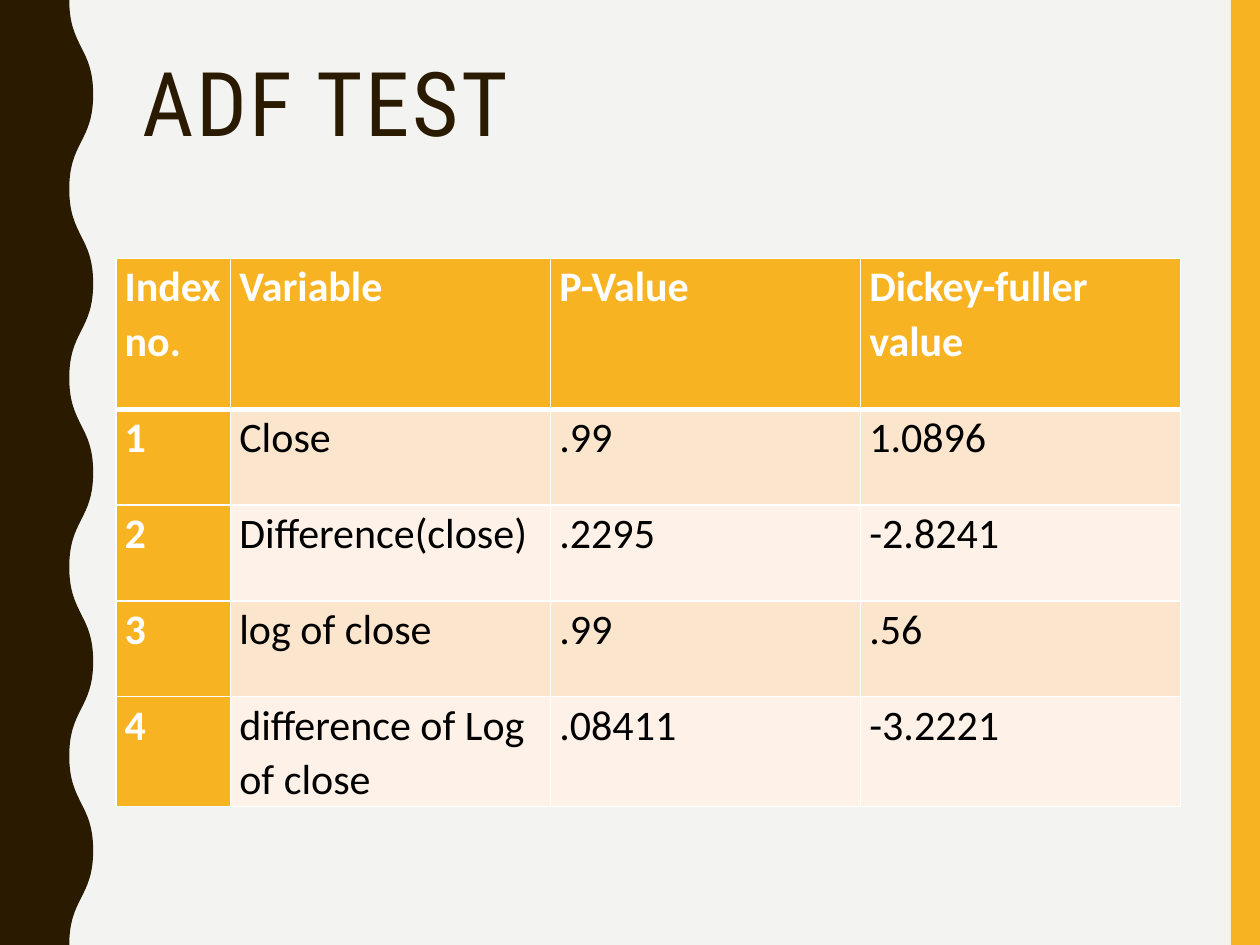
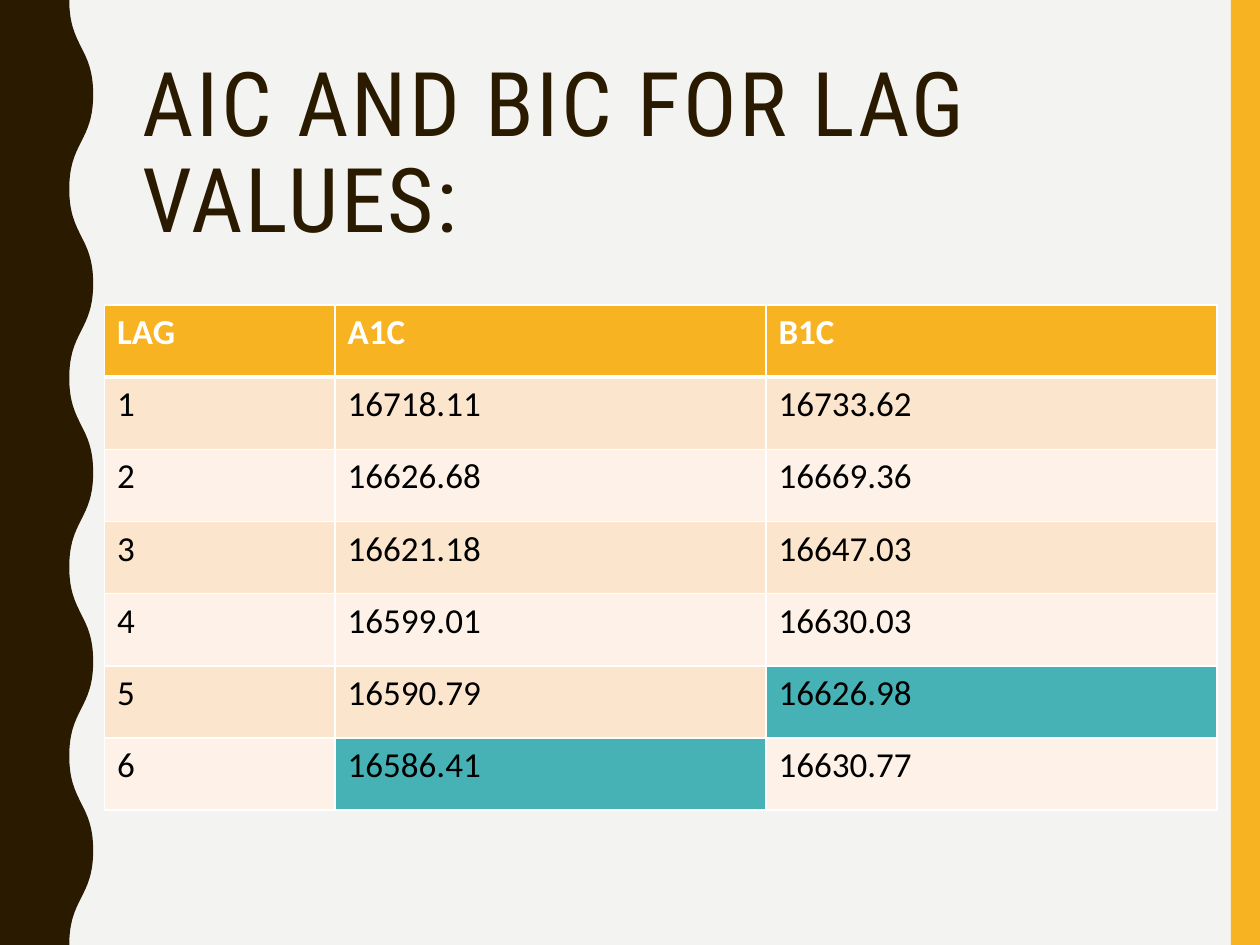
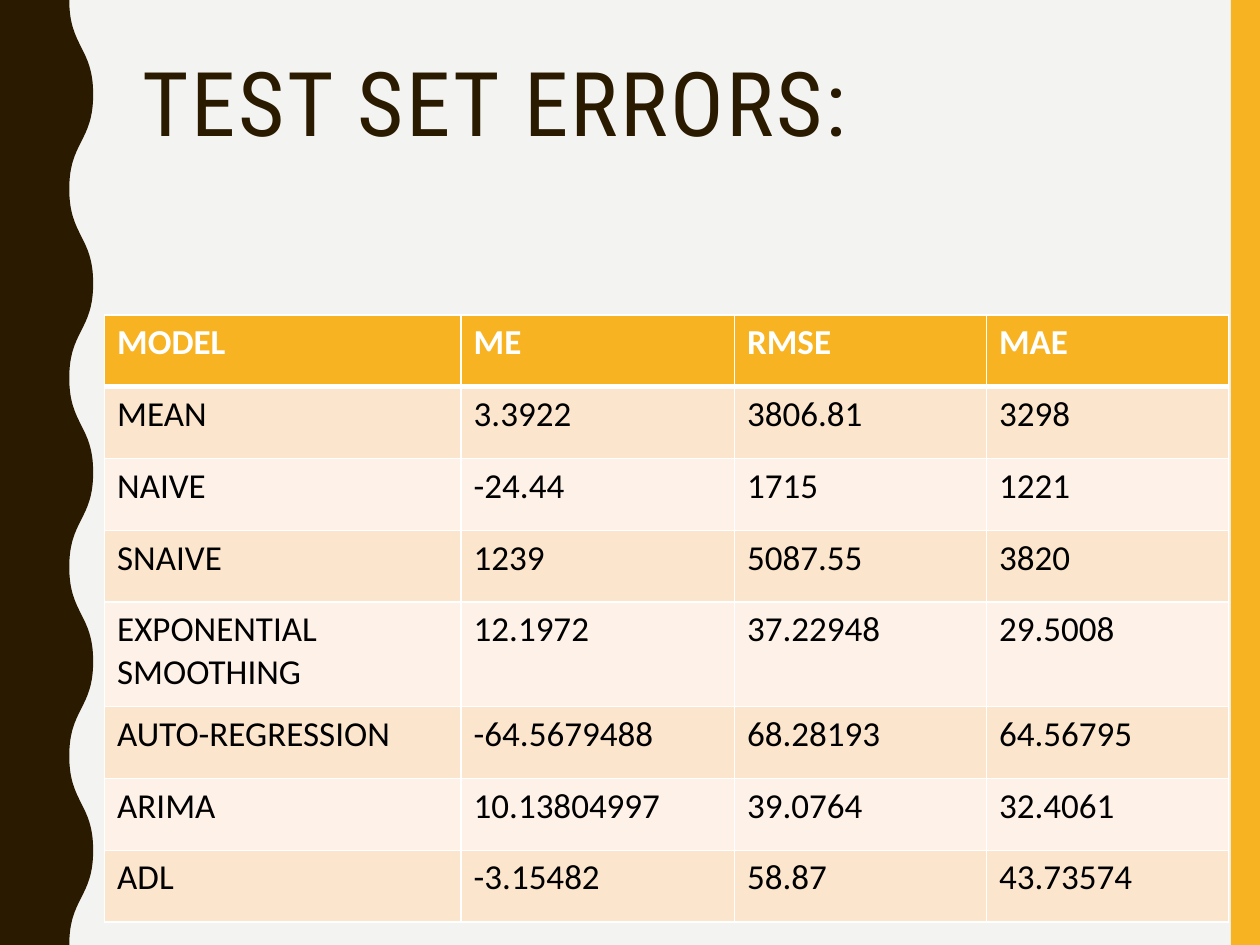
import pptx
import pptx.dml.color
import pptx.enum.shapes
import pptx.enum.text
import pptx.oxml
import pptx.oxml.ns
import pptx.util
from pptx.util import Inches

COLORS = {
    "background": "F3F3F2",
    "dark": "2A1A00",
    "accent": "F8B323",
    "band_odd": "FCE5CD",
    "band_even": "FEF2E8",
    "highlight": "46B2B5",
    "white": "FFFFFF",
    "black": "000000",
}
TITLE_FONT = "Roboto Condensed"
TABLE_FONT = "Calibri"
WIDTH, HEIGHT = 10, 7.5
EDGE_WIDTH = 0.23
WAVE_INNER, WAVE_OUTER, WAVE_STEP = 0.55, 0.74, 0.75

ADF_ROWS = [
    ["Index no.", "Variable", "P-Value", "Dickey-fuller value"],
    ["1", "Close", ".99", "1.0896"],
    ["2", "Difference(close)", ".2295", "-2.8241"],
    ["3", "log of close", ".99", ".56"],
    ["4", "difference of Log of close", ".08411", "-3.2221"],
]
LAG_ROWS = [
    ["LAG", "A1C", "B1C"],
    ["1", "16718.11", "16733.62"],
    ["2", "16626.68", "16669.36"],
    ["3", "16621.18", "16647.03"],
    ["4", "16599.01", "16630.03"],
    ["5", "16590.79", "16626.98"],
    ["6", "16586.41", "16630.77"],
]
ERROR_ROWS = [
    ["MODEL", "ME", "RMSE", "MAE"],
    ["MEAN", "3.3922", "3806.81", "3298"],
    ["NAIVE", "-24.44", "1715", "1221"],
    ["SNAIVE", "1239", "5087.55", "3820"],
    ["EXPONENTIAL SMOOTHING", "12.1972", "37.22948", "29.5008"],
    ["AUTO-REGRESSION", "-64.5679488", "68.28193", "64.56795"],
    ["ARIMA", "10.13804997", "39.0764", "32.4061"],
    ["ADL", "-3.15482", "58.87", "43.73574"],
]


def rgb(name):
    return pptx.dml.color.RGBColor.from_string(COLORS[name])


def write_text(frame, text, font, size, color, bold=False, line_spacing=1.0, tracking=0):
    """Put one left-aligned paragraph in the frame; tracking is in points."""
    frame.word_wrap = True
    paragraph = frame.paragraphs[0]
    paragraph.alignment = pptx.enum.text.PP_ALIGN.LEFT
    paragraph.line_spacing = line_spacing
    run = paragraph.add_run()
    run.text = text
    run.font.name = font
    run.font.size = pptx.util.Pt(size)
    run.font.bold = bold
    run.font.color.rgb = rgb(color)
    if tracking:
        run.font._element.set("spc", str(int(tracking * 100)))


def set_borders(cell, top, bottom):
    """Draw white cell borders; widths are in points."""
    properties = cell._tc.get_or_add_tcPr()
    for side, width in (("L", 1), ("R", 1), ("T", top), ("B", bottom)):
        properties.append(pptx.oxml.parse_xml(
            f'<a:ln{side} {pptx.oxml.ns.nsdecls("a")} w="{pptx.util.Pt(width)}">'
            f'<a:solidFill><a:srgbClr val="{COLORS["white"]}"/></a:solidFill></a:ln{side}>'
        ))


def bend_segments(shape, knots):
    """Turn the first straight segments of a freeform into S-curves between the knots."""
    segments = shape._element.findall(".//" + pptx.oxml.ns.qn("a:lnTo"))
    for segment, (x0, y0), (x1, y1) in zip(segments, knots, knots[1:]):
        middle = (y0 + y1) // 2
        points = "".join(f'<a:pt x="{x}" y="{y}"/>'
                         for x, y in ((x0, middle), (x1, middle), (x1, y1)))
        curve = pptx.oxml.parse_xml(
            f'<a:cubicBezTo {pptx.oxml.ns.nsdecls("a")}>{points}</a:cubicBezTo>')
        segment.getparent().replace(segment, curve)


class Deck:
    def __init__(self):
        self.presentation = pptx.Presentation()
        self.presentation.slide_width = Inches(WIDTH)
        self.presentation.slide_height = Inches(HEIGHT)
        background = self.presentation.slide_master.background.fill
        background.solid()
        background.fore_color.rgb = rgb("background")
        self.slide = None

    def add_slide(self, title):
        title_only = self.presentation.slide_layouts[5]
        self.slide = self.presentation.slides.add_slide(title_only)
        self.add_edge()
        self.add_wave()
        self.add_title(title)

    def paint(self, shape, color):
        shape.shadow.inherit = False
        shape.fill.solid()
        shape.fill.fore_color.rgb = rgb(color)
        shape.line.fill.background()

    def add_edge(self):
        edge = self.slide.shapes.add_shape(
            pptx.enum.shapes.MSO_SHAPE.RECTANGLE,
            Inches(WIDTH - EDGE_WIDTH), 0, Inches(EDGE_WIDTH), Inches(HEIGHT))
        self.paint(edge, "accent")

    def add_wave(self):
        swings = round(HEIGHT / WAVE_STEP)
        knots = [(Inches(WAVE_OUTER if i % 2 else WAVE_INNER), Inches(i * WAVE_STEP))
                 for i in range(swings + 1)]
        outline = self.slide.shapes.build_freeform(*knots[0])
        outline.add_line_segments([*knots[1:], (0, Inches(HEIGHT)), (0, 0)], close=True)
        wave = outline.convert_to_shape()
        bend_segments(wave, knots)
        self.paint(wave, "dark")

    def add_title(self, text):
        title = self.slide.shapes.title
        title.left, title.top = Inches(1.03), Inches(0.42)
        title.width, title.height = Inches(8.35), Inches(1.63)
        frame = title.text_frame
        frame.auto_size = pptx.enum.text.MSO_AUTO_SIZE.NONE
        frame.vertical_anchor = pptx.enum.text.MSO_ANCHOR.TOP
        write_text(frame, text, TITLE_FONT, 51, "dark", line_spacing=0.9, tracking=1.5)

    def add_table(self, rows, left, top, column_widths, row_heights, size=20,
                  line_spacing=1.0, margins=(0.1, 0.05), label_column=False,
                  highlights=()):
        """Add a banded table; margins are (side, top and bottom) in inches."""
        table = self.slide.shapes.add_table(
            len(rows), len(column_widths), Inches(left), Inches(top),
            Inches(sum(column_widths)), Inches(sum(row_heights))).table
        table.horz_banding = False
        for column, width in zip(table.columns, column_widths):
            column.width = Inches(width)
        for row, height in zip(table.rows, row_heights):
            row.height = Inches(height)

        for r, values in enumerate(rows):
            for c, value in enumerate(values):
                cell = table.cell(r, c)
                is_label = r == 0 or (label_column and c == 0)
                if is_label:
                    fill = "accent"
                elif (r, c) in highlights:
                    fill = "highlight"
                else:
                    fill = "band_odd" if r % 2 else "band_even"
                set_borders(cell, top=3 if r == 1 else 1, bottom=3 if r == 0 else 1)
                cell.fill.solid()
                cell.fill.fore_color.rgb = rgb(fill)
                cell.margin_left = cell.margin_right = Inches(margins[0])
                cell.margin_top = cell.margin_bottom = Inches(margins[1])
                write_text(cell.text_frame, value, TABLE_FONT, size,
                           "white" if is_label else "black",
                           bold=is_label, line_spacing=line_spacing)


def main():
    deck = Deck()

    deck.add_slide("ADF TEST")
    deck.add_table(ADF_ROWS, 0.92, 2.05, [0.91, 2.54, 2.46, 2.54], [1.2] + [0.76] * 4,
                   size=24, line_spacing=1.07, margins=(0.07, 0), label_column=True)

    deck.add_slide("AIC AND BIC FOR LAG VALUES:")
    deck.add_table(LAG_ROWS, 0.83, 2.42, [1.83, 3.42, 3.58], [4.01 / 7] * 7,
                   highlights={(5, 2), (6, 1)})

    deck.add_slide("TEST SET ERRORS:")
    deck.add_table(ERROR_ROWS, 0.83, 2.5, [2.83, 2.17, 2, 1.92],
                   [0.57] * 4 + [0.83] + [0.57] * 3)

    deck.presentation.save("out.pptx")


if __name__ == "__main__":
    main()
